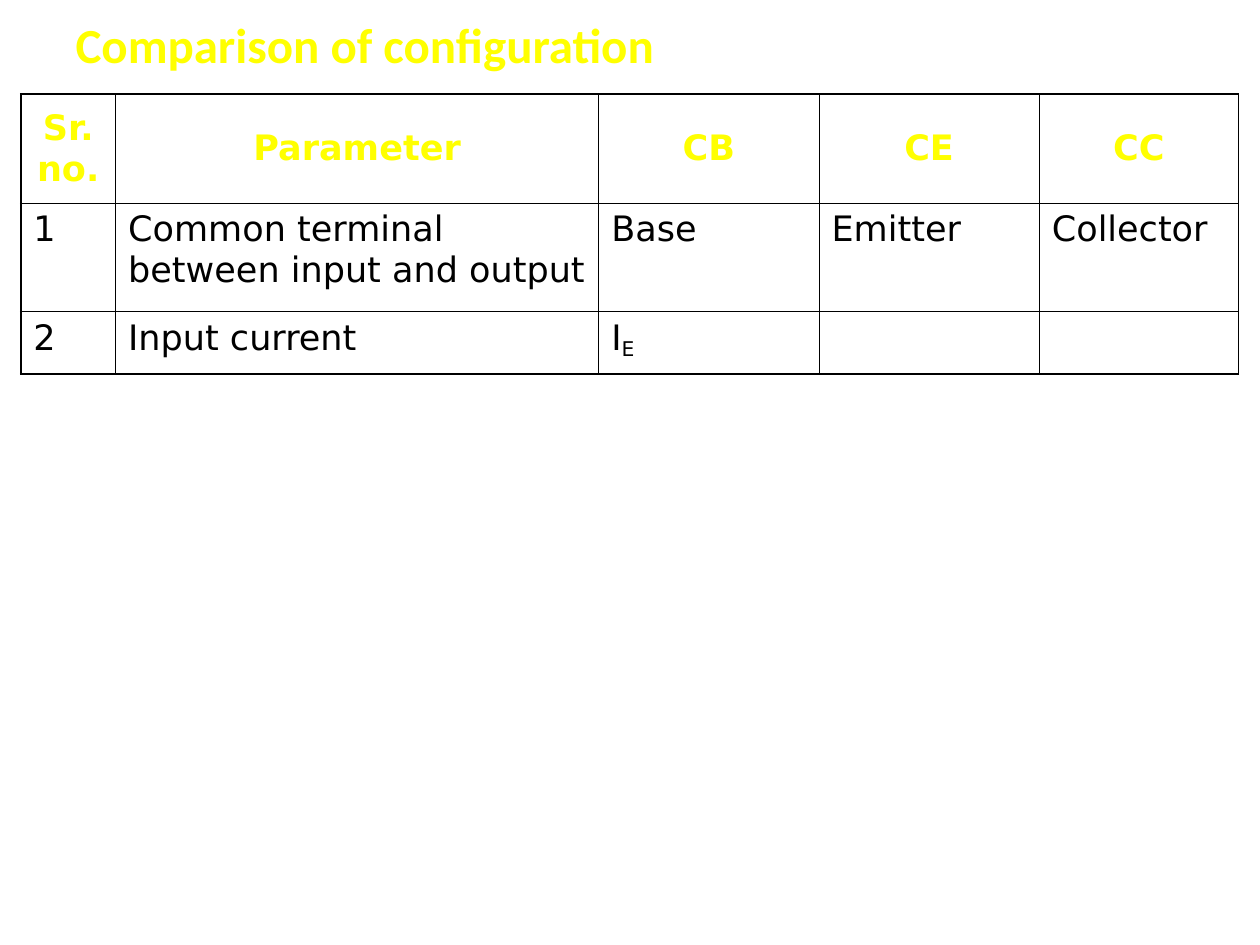
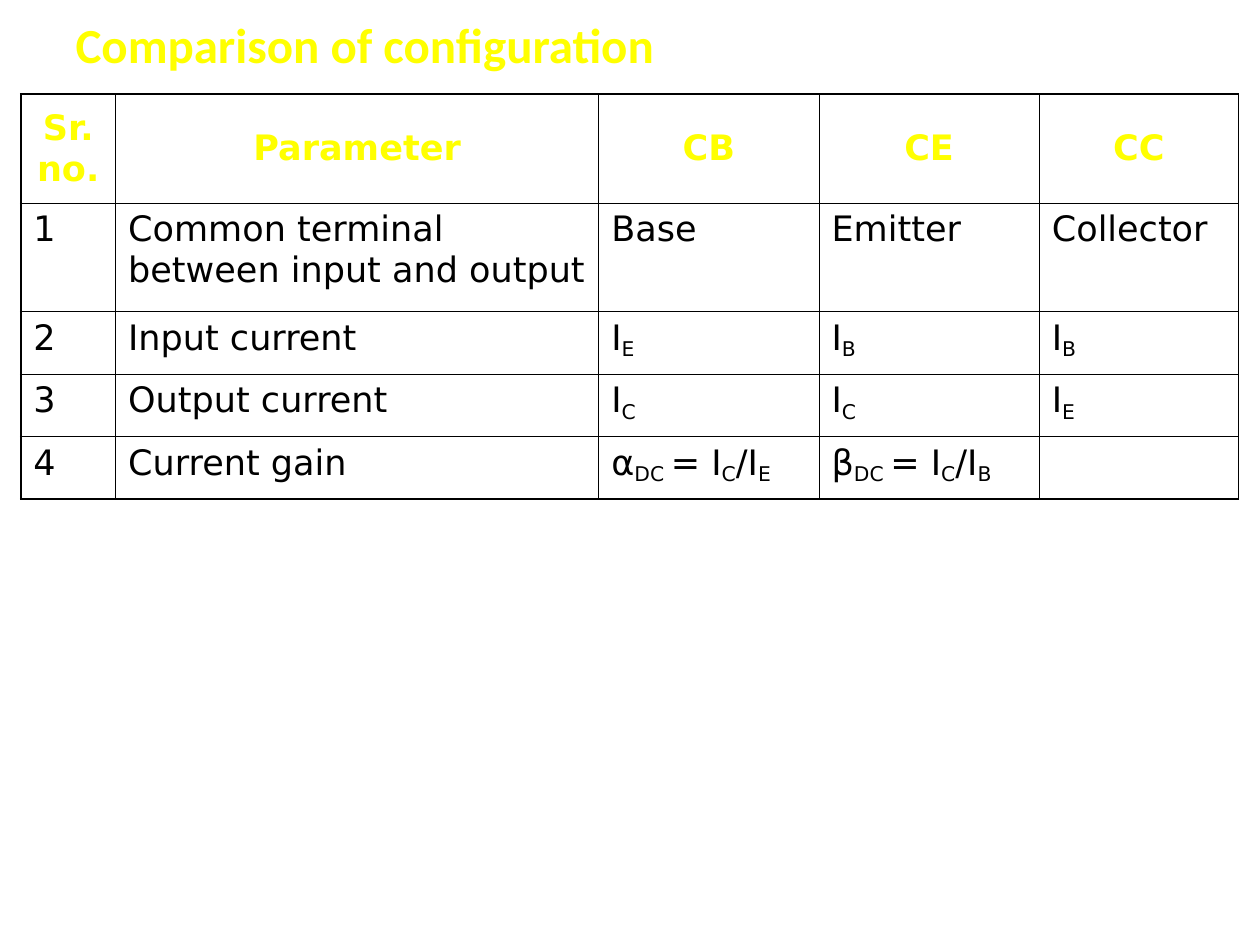
from pptx import Presentation, util as u
from pptx.dml.color import RGBColor
from pptx.enum import text as t
from pptx.oxml import parse_xml
from pptx.oxml.ns import nsdecls

HUES = {"head": "FFFF00", "body": "000000", "line": "000000"}
TITLE = "Comparison of configuration"
TITLE_BOX = (1.27, 0.2, 22.86, 1.35)
GRID_AT = (0.42, 1.9)
COLS = (1.91, 9.74, 4.44, 4.44, 4.02)
TALL, LOW = 2.19, 1.26
THICK, THIN = 1.08, 0.45

# Every second part between bars is a subscript
HEAD = ("Sr.no.", "Parameter", "CB", "CE", "CC")
ROWS = (
    ("1", "Common terminal between input and output",
     "Base", "Emitter", "Collector"),
    ("2", "Input current", "I|E", "I|B", "I|B"),
    ("3", "Output current", "I|C", "I|C", "I|E"),
    ("4", "Current gain", "α|DC |= I|C|/I|E", "β|DC |= I|C|/I|B", ""),
)
FIRST = (ROWS[0], ("2", "Input current", "I|E", "", ""))


def write(para, words, size, face, hue, bold):
    """Add the words run by run, lowering the subscripts."""
    for n, part in enumerate(words.split("|")):
        run = para.add_run()
        run.text = part
        font = run.font
        font.size, font.name, font.bold = u.Pt(size), face, bold
        font.color.rgb = RGBColor.from_string(HUES[hue])
        if n % 2:
            run._r.get_or_add_rPr().set("baseline", "-18000")


def edge(cell, sides):
    """Draw the borders of a cell from a dict of side and width."""
    props = cell._tc.get_or_add_tcPr()
    for n, (side, width) in enumerate(sides.items()):
        props.insert(n, parse_xml(
            f'<a:ln{side} {nsdecls("a")} w="{u.Pt(width)}"><a:solidFill>'
            f'<a:srgbClr val="{HUES["line"]}"/></a:solidFill></a:ln{side}>'))


def add_title(slide, box):
    title = slide.shapes.title
    title.left, title.top, title.width, title.height = map(u.Cm, box)
    frame = title.text_frame
    frame.auto_size = t.MSO_AUTO_SIZE.NONE
    frame.vertical_anchor = t.MSO_ANCHOR.MIDDLE
    para = frame.paragraphs[0]
    para.alignment = t.PP_ALIGN.LEFT
    write(para, TITLE, 28, "Calibri", "head", True)


def add_grid(slide, spot, rows):
    data = (HEAD, *rows)
    highs = [TALL if n < 2 else LOW for n in range(len(data))]
    box = (*spot, sum(COLS), sum(highs))
    table = slide.shapes.add_table(len(data), len(COLS), *map(u.Cm, box)).table
    table.first_row = table.horz_banding = False
    for col, wide in zip(table.columns, COLS):
        col.width = u.Cm(wide)
    for row, high in zip(table.rows, highs):
        row.height = u.Cm(high)

    # Cells: centred head, plain body, thick outer frame
    for r, line in enumerate(data):
        for c, words in enumerate(line):
            cell = table.cell(r, c)
            cell.fill.background()
            edge(cell, {
                "L": THIN if c else THICK,
                "R": THICK if c == len(COLS) - 1 else THIN,
                "T": THIN if r else THICK,
                "B": THICK if r == len(data) - 1 else THIN})
            para = cell.text_frame.paragraphs[0]
            if r == 0:
                cell.vertical_anchor = t.MSO_ANCHOR.MIDDLE
                para.alignment = t.PP_ALIGN.CENTER
            if words:
                hue = "body" if r else "head"
                write(para, words, 20, "DejaVu Sans", hue, r == 0)


def main():
    deck = Presentation()
    deck.slide_width, deck.slide_height = u.Cm(25.4), u.Cm(19.05)
    for rows in (FIRST, ROWS):
        slide = deck.slides.add_slide(deck.slide_layouts[5])
        add_title(slide, TITLE_BOX)
        add_grid(slide, GRID_AT, rows)
    deck.save("out.pptx")


if __name__ == "__main__":
    main()
